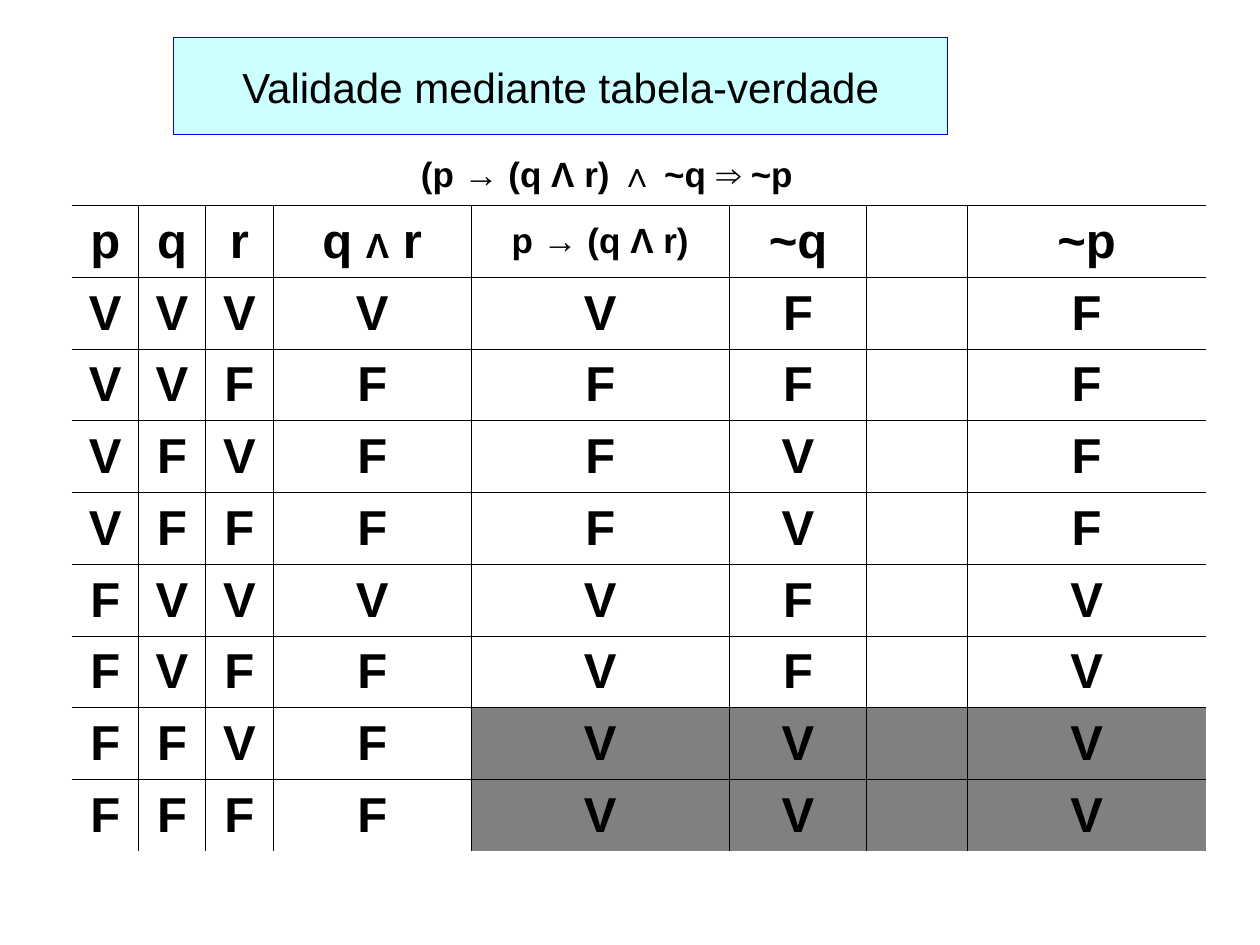
"""Build a slide that checks an argument's validity with a truth table."""
import itertools
import pptx
import pptx.dml.color
import pptx.enum.shapes
import pptx.enum.text
import pptx.oxml
import pptx.oxml.ns
import pptx.util

Inches = pptx.util.Inches
Pt = pptx.util.Pt
RGB = pptx.dml.color.RGBColor.from_string
THEME = {
    "font": "Arial", "text": "000000", "grid": "000000", "paper": "FFFFFF",
    "marked": "808080", "title_fill": "CCFFFF", "title_line": "0000FF",
    "title_size": 24, "formula_size": 20, "cell_size": 28, "grid_width": 0.45,
}


def write(tf, parts, align, bold=True):
    p = tf.paragraphs[0]
    p.alignment = align
    for text, size in parts:
        r = p.add_run()
        r.text = text
        r.font.name = THEME["font"]
        r.font.size = Pt(size)
        r.font.bold = bold
        r.font.color.rgb = RGB(THEME["text"])


def add_border(cell, side):
    cell._tc.get_or_add_tcPr().append(pptx.oxml.parse_xml(
        f'<a:ln{side} {pptx.oxml.ns.nsdecls("a")} w="{Pt(THEME["grid_width"])}">'
        f'<a:solidFill><a:srgbClr val="{THEME["grid"]}"/></a:solidFill></a:ln{side}>'))


prs = pptx.Presentation()
prs.slide_width, prs.slide_height = Inches(10), Inches(7.5)
s = prs.slides.add_slide(prs.slide_layouts[6])
center = pptx.enum.text.PP_ALIGN.CENTER
middle = pptx.enum.text.MSO_ANCHOR.MIDDLE
big, small = THEME["cell_size"], THEME["formula_size"]

formula = [("(p → (q Λ r) ∧ ~q ⇒ ~p", small)]
rows = [[
    [("p", big)], [("q", big)], [("r", big)],
    [("q ", big), ("Λ", small), (" r", big)],
    [("p → (q Λ r)", small)], [("~q", big)], [], [("~p", big)],
]]
for p, q, r in itertools.product([True, False], repeat=3):
    values = [p, q, r, q and r, not p or (q and r), not q, None, not p]
    rows.append([[] if v is None else [("V" if v else "F", big)] for v in values])

widths = [0.53, 0.53, 0.54, 1.57, 2.05, 1.09, 0.8, 1.89]
heights = [0.5] + [0.57] * len(rows)
table = s.shapes.add_table(len(heights), len(widths), Inches(0.57), Inches(1.13),
                           Inches(sum(widths)), Inches(sum(heights))).table
table.first_row = table.horz_banding = False
table._tbl.tblPr.find(pptx.oxml.ns.qn("a:tableStyleId")).text = "{2D5ABB26-0587-4C30-8999-92F81FD0307C}"
for column, width in zip(table.columns, widths):
    column.width = Inches(width)
for row, height in zip(table.rows, heights):
    row.height = Inches(height)

heading = table.cell(0, 0)
heading.merge(table.cell(0, len(widths) - 1))
heading.vertical_anchor = middle
heading.margin_top = Inches(0.08)
write(heading.text_frame, formula, pptx.enum.text.PP_ALIGN.LEFT)
pPr = heading.text_frame.paragraphs[0]._p.get_or_add_pPr()
pPr.set("marL", str(Inches(2.67)))
pPr.set("indent", "0")
for j in range(len(widths)):
    add_border(table.cell(0, j), "B")
heading.fill.background()

for i, row in enumerate(rows, start=1):
    for j, parts in enumerate(row):
        cell = table.cell(i, j)
        cell.vertical_anchor = middle
        write(cell.text_frame, parts, center)
        if j > 0:
            add_border(cell, "L")
        if j < len(widths) - 1:
            add_border(cell, "R")
        add_border(cell, "T")
        if i < len(rows):
            add_border(cell, "B")
        cell.fill.solid()
        marked = i >= len(rows) - 1 and j >= 4
        cell.fill.fore_color.rgb = RGB(THEME["marked" if marked else "paper"])

sp = s.shapes.add_shape(pptx.enum.shapes.MSO_SHAPE.RECTANGLE,
                        Inches(1.38), Inches(0.3), Inches(6.14), Inches(0.77))
sp.shadow.inherit = False
sp.fill.solid()
sp.fill.fore_color.rgb = RGB(THEME["title_fill"])
sp.line.color.rgb = RGB(THEME["title_line"])
sp.line.width = Pt(0.75)
tf = sp.text_frame
tf.word_wrap = True
tf.vertical_anchor = middle
write(tf, [("Validade mediante tabela-verdade", THEME["title_size"])], center, bold=False)

prs.save("out.pptx")
